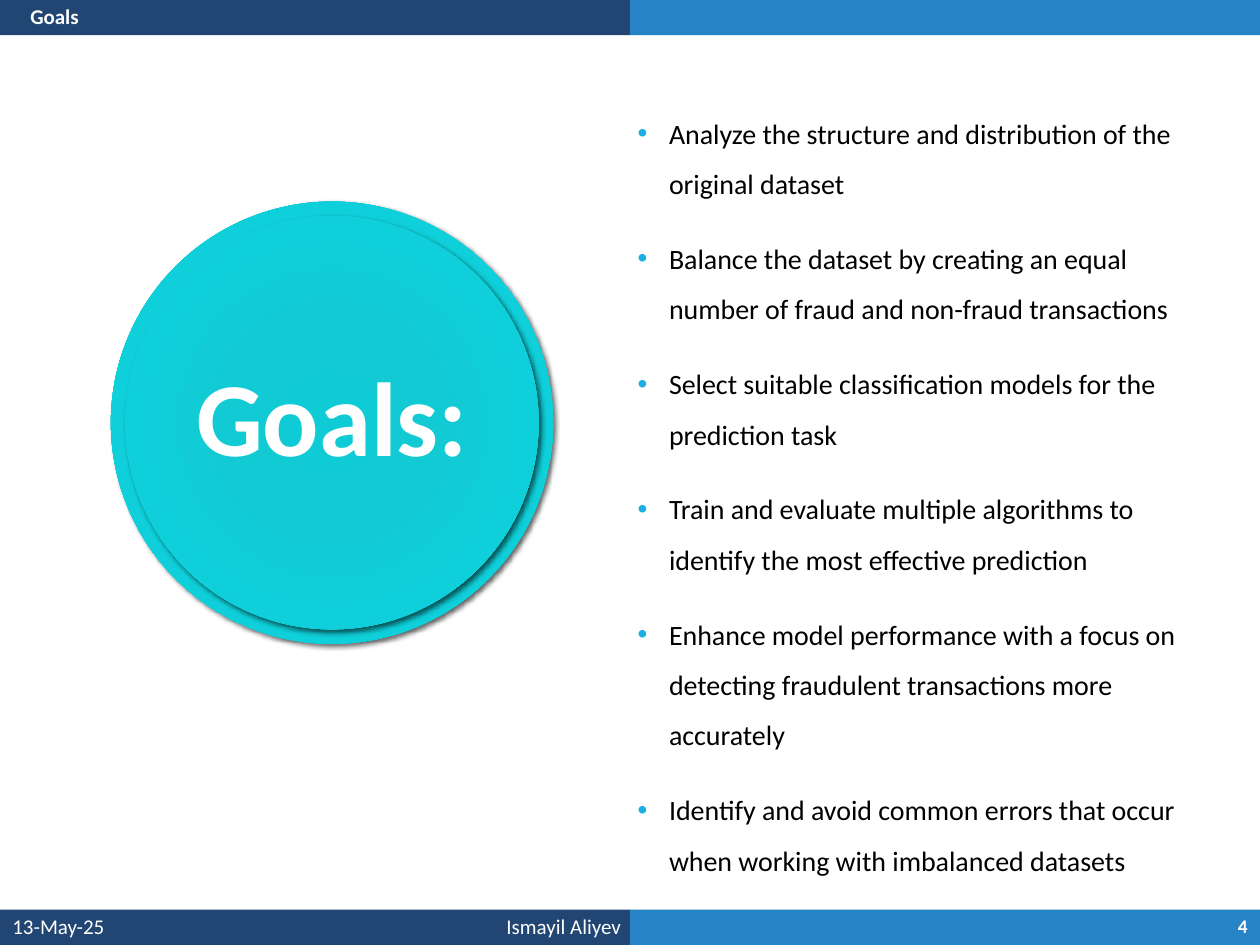
from lxml import etree
from pptx import Presentation
from pptx import util as u
from pptx.dml.color import RGBColor
from pptx.enum import shapes, text
from pptx.oxml import ns

HEAD = "Goals"
DISC = "Goals:"
GOALS = [
    "Analyze the structure and distribution of the original dataset",
    "Balance the dataset by creating an equal number of fraud and non-fraud transactions",
    "Select suitable classification models for the prediction task",
    "Train and evaluate multiple algorithms to identify the most effective prediction",
    "Enhance model performance with a focus on detecting fraudulent transactions more accurately",
    "Identify and avoid common errors that occur when working with imbalanced datasets",
]
NAVY, BLUE, CYAN, WHITE, BLACK = "214673", "2683C6", "1CADE4", "FFFFFF", "000000"
STOPS = [(0, "0ECBD5"), (34, "12CAD3"), (70, "0FD0DA"), (100, "20CBD4")]

COLS, ROWS = 100, 75
BAND = 2.8
FOOT = ROWS - BAND
HALF = COLS / 2
MID = (26.35, 33.55)
RINGS = [35.1, 32.8]
CORE = 23.4
LEFT, RIGHT, CENTER = text.PP_ALIGN.LEFT, text.PP_ALIGN.RIGHT, text.PP_ALIGN.CENTER
FOOTS = [
    ("13-May-25", (0, FOOT, 12, BAND), LEFT, 12, False, 0.1),
    ("Ismayil Aliyev", (12.2, FOOT, 37.1, BAND), RIGHT, 12, False, 0),
    ("4", (93.5, FOOT, 6.5, BAND), RIGHT, 11, True, 0.1),
]

prs = Presentation()
prs.slide_width, prs.slide_height = u.Inches(10), u.Inches(7.5)
slide = prs.slides.add_slide(prs.slide_layouts[1])
tree = slide.shapes


def grid(x, y, w, h):
    col, row = prs.slide_width / COLS, prs.slide_height / ROWS
    return [int(v) for v in (x * col, y * row, w * col, h * row)]


def round_mid(size):
    return grid(MID[0] - size / 2, MID[1] - size / 2, size, size)


def rgb(code):
    return RGBColor.from_string(code)


def node(up, tag, **attrs):
    return etree.SubElement(up, ns.qn(tag), {k: str(v) for k, v in attrs.items()})


def place(box, spot):
    box.left, box.top, box.width, box.height = spot


def setup(box, side, anchor=text.MSO_ANCHOR.MIDDLE, wrap=True):
    frame = box.text_frame
    frame.auto_size = text.MSO_AUTO_SIZE.NONE
    frame.word_wrap = wrap
    frame.vertical_anchor = anchor
    frame.margin_left = frame.margin_right = u.Inches(side)
    frame.margin_top = frame.margin_bottom = u.Inches(0.05)
    return frame


def style(par, size, color, bold=False, align=LEFT, lead=0.9, gap=0):
    par.alignment, par.line_spacing = align, lead
    par.space_before, par.space_after = u.Pt(gap), u.Pt(2)
    for run in par.runs:
        font = run.font
        font.name, font.size, font.bold = "Calibri", u.Pt(size), bold
        font.color.rgb = rgb(color)


def indent(par, left, first):
    props = par._p.get_or_add_pPr()
    props.set("marL", str(u.Inches(left)))
    props.set("indent", str(u.Inches(first)))
    return props


def glow(disc):
    disc.shadow.inherit = False
    disc.line.fill.background()
    props = disc._element.spPr
    fill = etree.Element(ns.qn("a:gradFill"), rotWithShape="1")
    stops = node(fill, "a:gsLst")
    for pos, code in STOPS:
        node(node(stops, "a:gs", pos=pos * 1000), "a:srgbClr", val=code)
    way = node(fill, "a:path", path="circle")
    node(way, "a:fillToRect", l=50000, t=50000, r=50000, b=50000)
    props.find(ns.qn("a:ln")).addprevious(fill)
    shade = node(props.find(ns.qn("a:effectLst")), "a:outerShdw",
                 blurRad=u.Pt(3), dist=u.Pt(2), dir=45 * 60000, algn="tl", rotWithShape=0)
    node(node(shade, "a:srgbClr", val=BLACK), "a:alpha", val=60000)


spots = [(x, y, c) for y in (0, FOOT) for x, c in ((0, NAVY), (HALF, BLUE))]
for i, (x, y, color) in enumerate(spots):
    bar = tree.add_shape(shapes.MSO_SHAPE.RECTANGLE, *grid(x, y, HALF, BAND))
    bar.shadow.inherit = False
    bar.fill.solid()
    bar.fill.fore_color.rgb = rgb(color)
    bar.line.fill.background()
    tree._spTree.insert(2 + i, bar._element)

title, body = tree.title, tree.placeholders[1]
place(title, grid(0, 0, HALF, BAND))
frame = setup(title, 0)
frame.text = HEAD
indent(frame.paragraphs[0], 0.24, 0)
style(frame.paragraphs[0], 12, WHITE, True)

place(body, grid(50.6, 7.4, 46, 57.9))
frame = setup(body, 0, text.MSO_ANCHOR.TOP)
frame.text = "\n".join(GOALS)
for i, par in enumerate(frame.paragraphs):
    props = indent(par, 0.25, -0.25)
    node(node(props, "a:buClr"), "a:srgbClr", val=CYAN)
    node(props, "a:buFont", typeface="Arial")
    node(props, "a:buChar", char="•")
    style(par, 16, BLACK, lead=1.5, gap=12 if i else 0)

for words, spot, align, size, bold, side in FOOTS:
    frame = setup(tree.add_textbox(*grid(*spot)), side)
    frame.text = words
    style(frame.paragraphs[0], size, WHITE, bold, align)

group = tree.add_group_shape()
for size in RINGS:
    glow(group.shapes.add_shape(shapes.MSO_SHAPE.OVAL, *round_mid(size)))
frame = setup(group.shapes.add_textbox(*round_mid(CORE)), 0.08, wrap=False)
frame.text = DISC
style(frame.paragraphs[0], 60, WHITE, True, CENTER)

prs.save("out.pptx")
